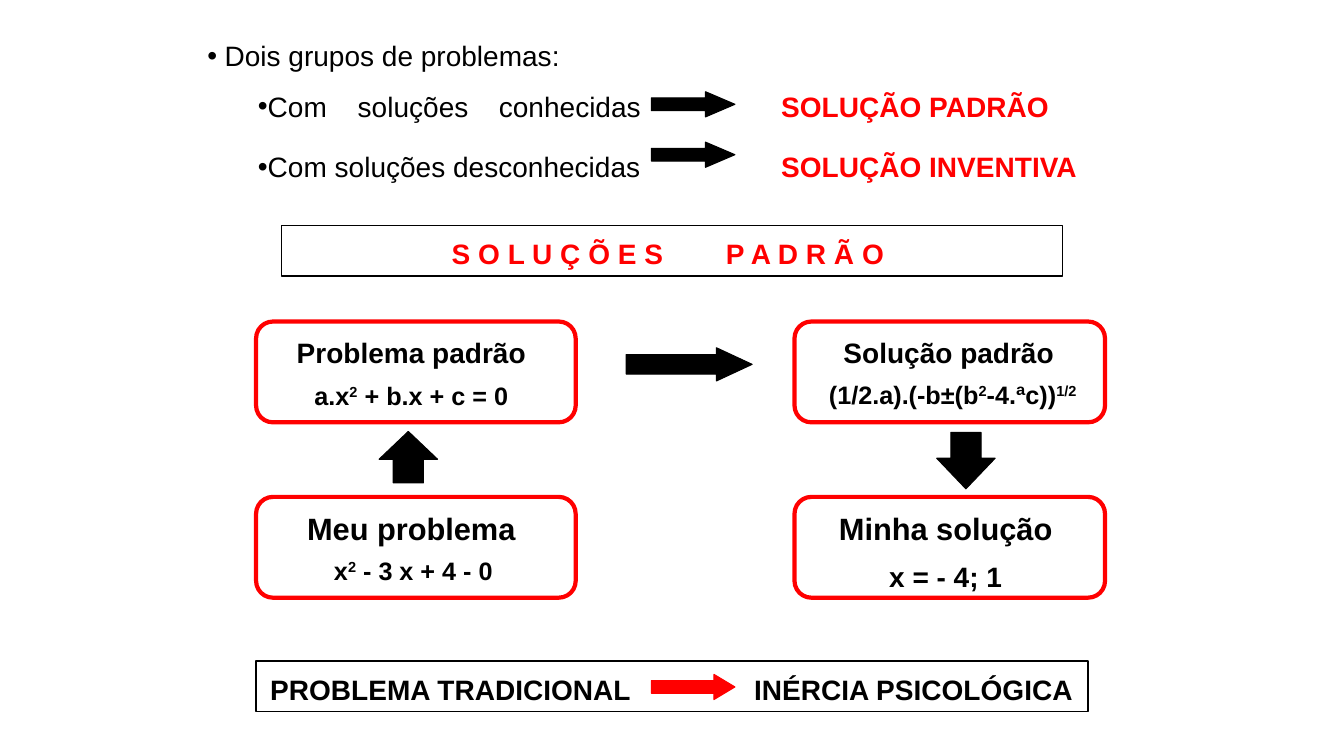
from lxml.etree import SubElement as Sub
from pptx import Presentation
from pptx.dml.color import RGBColor as RGB
from pptx.enum.shapes import MSO_SHAPE as Form
from pptx.enum.text import PP_ALIGN as Align
from pptx.oxml.ns import qn
from pptx.util import Inches, Pt

INK = {name: RGB.from_string(code) for name, code in
       {"black": "000000", "red": "FF0000"}.items()}

deck = Presentation()
deck.slide_width, deck.slide_height = Inches(13.33), Inches(7.5)
slide = deck.slides.add_slide(deck.slide_layouts[6])


def shape(form, area, line, width, fill=None, adjust=()):
    item = slide.shapes.add_shape(form, *map(Inches, area))
    item.shadow.inherit = False
    if fill:
        item.fill.solid()
        item.fill.fore_color.rgb = INK[fill]
    else:
        item.fill.background()
    item.line.color.rgb = INK[line]
    item.line.width = Pt(width)
    for i, value in enumerate(adjust):
        item.adjustments[i] = value
    return item


def write(para, parts, size, color="black", bold=True, tabs=(), bullet=False):
    """Fill a paragraph with (text, look) parts; look is "", "up" or "red"."""
    props = para._p.get_or_add_pPr()
    if bullet:
        Sub(props, qn("a:buFont"), typeface="Arial")
        Sub(props, qn("a:buChar"), char="•")
    if tabs:
        stops = Sub(props, qn("a:tabLst"))
        for pos in tabs:
            Sub(stops, qn("a:tab"), pos=str(Inches(pos)), algn="l")
    font = para.font
    font.name, font.size, font.bold = "Arial", Pt(size), bold
    font.color.rgb = INK[color]
    for text, look in parts:
        run = para.add_run()
        run.text = text
        if look == "up":
            run._r.get_or_add_rPr().set("baseline", "30000")
        elif look == "red":
            run.font.bold = True
            run.font.color.rgb = INK["red"]


# Two groups of problems
frame = slide.shapes.add_textbox(
    Inches(1.96), Inches(0.17), Inches(9.5), Inches(1.64)).text_frame
frame.word_wrap = True
groups = [
    ([("Dois grupos de problemas:", "")], 0.17, -0.17, 1.5, ()),
    ([("Com\tsoluções\tconhecidas\t", ""), ("SOLUÇÃO PADRÃO", "red")],
     0, 0.5, 1.5, (1.49, 2.89, 5.69)),
    ([("Com soluções desconhecidas\t", ""), ("SOLUÇÃO INVENTIVA", "red")],
     0, 0.5, 1.8, (5.69,)),
]
for i, (parts, left, indent, space, tabs) in enumerate(groups):
    para = frame.add_paragraph() if i else frame.paragraphs[0]
    props = para._p.get_or_add_pPr()
    props.set("marL", str(Inches(left)))
    props.set("indent", str(Inches(indent)))
    if i:
        para.level = 1
    para.line_spacing = space
    write(para, parts, 20, bold=False, tabs=tabs, bullet=True)

# Framed headings: area, text, colour, inset, tab
banners = [
    ((2.79, 2.24, 7.75, 0.5), "S O L U Ç Õ E S\tP A D R Ã O", "red", 1.69, 2.72),
    ((2.54, 6.56, 8.25, 0.5), "PROBLEMA TRADICIONAL\tINÉRCIA PSICOLÓGICA",
     "black", 0.14, 4.8),
]
for area, text, color, inset, tab in banners:
    frame = shape(Form.RECTANGLE, area, "black", 1).text_frame
    frame.margin_left, frame.margin_right = Inches(inset), 0
    frame.margin_top = Inches(0.01)
    frame.vertical_anchor = 1
    para = frame.paragraphs[0]
    para.alignment = Align.LEFT
    para.line_spacing = 1.3
    write(para, [(text, "")], 20, color, tabs=(tab,))

# Cards: left, top, width, then lines as (centre, top, size, parts)
cards = [
    (2.54, 3.19, 3.17, [
        (4.08, 3.28, 20, [("Problema padrão", "")]),
        (4.08, 3.72, 18, [("a.x", ""), ("2", "up"), (" + b.x + c = 0", "")])]),
    (2.54, 4.93, 3.17, [
        (4.08, 5.01, 22, [("Meu problema", "")]),
        (4.1, 5.46, 18, [("x", ""), ("2", "up"), (" - 3 x + 4 - 0", "")])]),
    (7.88, 3.19, 3.08, [
        (9.41, 3.28, 20, [("Solução padrão", "")]),
        (9.45, 3.71, 18, [("(1/2.a).(-b±(b", ""), ("2", "up"),
                          ("-4.ªc))", ""), ("1/2", "up")])]),
    (7.88, 4.93, 3.08, [
        (9.38, 5.01, 22, [("Minha solução", "")]),
        (9.38, 5.5, 20, [("x = - 4; 1", "")])]),
]
for left, top, width, lines in cards:
    shape(Form.ROUNDED_RECTANGLE, (left, top, width, 1), "red", 3,
          adjust=(0.167,))
    for mid, y, size, parts in lines:
        frame = slide.shapes.add_textbox(
            Inches(mid - 1.6), Inches(y), Inches(3.2), Inches(0.43)).text_frame
        frame.word_wrap = True
        para = frame.paragraphs[0]
        para.alignment = Align.CENTER
        write(para, parts, size)

# Arrows
arrows = [
    (Form.RIGHT_ARROW, (6.46, 0.91, 0.83, 0.25), "black", (0.5, 1.167)),
    (Form.RIGHT_ARROW, (6.46, 1.41, 0.83, 0.25), "black", (0.5, 1.167)),
    (Form.RIGHT_ARROW, (6.21, 3.45, 1.25, 0.33), "black", (0.583, 1.075)),
    (Form.UP_ARROW, (3.76, 4.28, 0.58, 0.51), "black", (0.517, 0.542)),
    (Form.DOWN_ARROW, (9.29, 4.29, 0.58, 0.56), "black", (0.517, 0.542)),
    (Form.RIGHT_ARROW, (6.46, 6.69, 0.83, 0.25), "red", (0.5, 0.833)),
]
for form, area, color, adjust in arrows:
    shape(form, area, color, 0.75, color, adjust)

deck.save("out.pptx")
